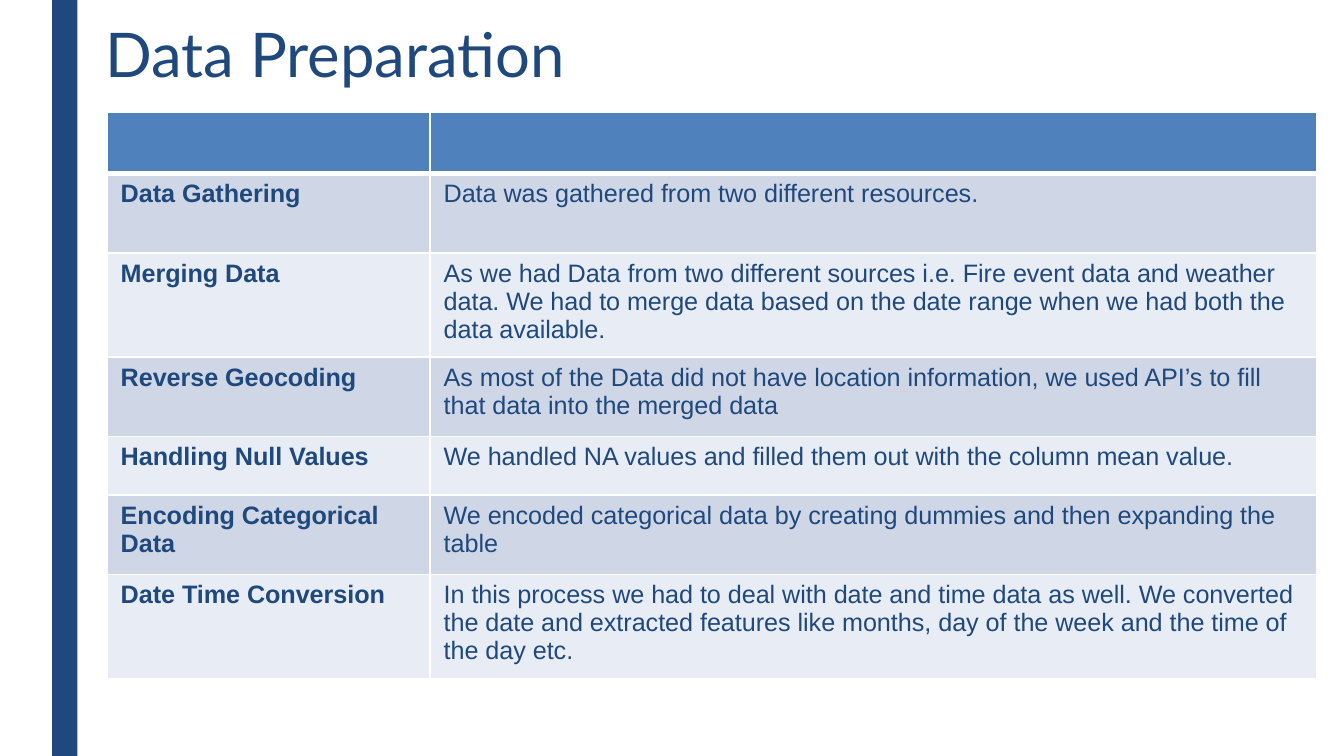
from typing import NamedTuple

from lxml.etree import SubElement
from pptx import Presentation
from pptx.dml.color import RGBColor
from pptx.enum.shapes import MSO_SHAPE as Shape
from pptx.enum.text import MSO_ANCHOR as Anchor
from pptx.oxml.ns import qn
from pptx.util import Emu, Pt

EMU_PER_PX = 6350
COLORS = {
    "navy": "1F497D",
    "header": "4F81BD",
    "odd": "CFD7E7",
    "even": "E8ECF4",
    "border": "FFFFFF",
}


class Box(NamedTuple):
    left: int
    top: int
    width: int
    height: int


class Step(NamedTuple):
    name: str
    description: str
    height: int = 85


SLIDE_WIDTH, SLIDE_HEIGHT = 1440, 810
SIDE_BAR = Box(56, 0, 27, SLIDE_HEIGHT)
TITLE = Box(99, 13, 1135, 176)
TABLE_LEFT, TABLE_TOP = 115, 120
COLUMN_WIDTHS = (346, 950)
STEPS = [
    Step("", "", 66),
    Step("Data Gathering", "Data was gathered from two different resources."),
    Step(
        "Merging Data",
        "As we had Data from two different sources i.e. Fire event data and weather data. "
        "We had to merge data based on the date range when we had both the data available.",
    ),
    Step(
        "Reverse Geocoding",
        "As most of the Data did not have location information, "
        "we used API’s to fill that data into the merged data",
    ),
    Step(
        "Handling Null Values",
        "We handled NA values and filled them out with the column mean value.",
        63,
    ),
    Step(
        "Encoding Categorical Data",
        "We encoded categorical data by creating dummies and then expanding the table",
    ),
    Step(
        "Date Time Conversion",
        "In this process we had to deal with date and time data as well. "
        "We converted the date and extracted features like months, "
        "day of the week and the time of the day etc.",
    ),
]


def px(length: int) -> Emu:
    return Emu(length * EMU_PER_PX)


def place(box: Box) -> list[Emu]:
    return [px(length) for length in box]


def color(name: str) -> RGBColor:
    return RGBColor.from_string(COLORS[name])


def add_run(paragraph, text: str, font: str, size: float, bold: bool = False) -> None:
    run = paragraph.add_run()
    run.text = text
    run.font.name = font
    run.font.size = Pt(size)
    run.font.bold = bold
    run.font.color.rgb = color("navy")


def add_side_bar(slide) -> None:
    shape = slide.shapes.add_shape(Shape.RECTANGLE, *place(SIDE_BAR))
    shape.shadow.inherit = False
    shape.fill.solid()
    shape.fill.fore_color.rgb = color("navy")
    shape.line.fill.background()


def add_title(slide) -> None:
    frame = slide.shapes.add_textbox(*place(TITLE)).text_frame
    frame.word_wrap = True
    frame.vertical_anchor = Anchor.TOP
    frame.margin_left = frame.margin_right = px(14)
    frame.margin_top = frame.margin_bottom = px(14)
    paragraph = frame.paragraphs[0]
    paragraph.line_spacing = 0.89
    add_run(paragraph, "Data Preparation", "Lato", 33)


def set_borders(cell, top: int, bottom: int) -> None:
    properties = cell._tc.get_or_add_tcPr()
    widths = {"lnL": 1, "lnR": 1, "lnT": top, "lnB": bottom}
    for index, (tag, points) in enumerate(widths.items()):
        line = SubElement(properties, qn(f"a:{tag}"), w=str(Pt(points)))
        fill = SubElement(line, qn("a:solidFill"))
        SubElement(fill, qn("a:srgbClr"), val=COLORS["border"])
        properties.insert(index, line)


def add_step_table(slide) -> None:
    height = sum(step.height for step in STEPS)
    box = Box(TABLE_LEFT, TABLE_TOP, sum(COLUMN_WIDTHS), height)
    table = slide.shapes.add_table(len(STEPS), len(COLUMN_WIDTHS), *place(box)).table
    table.horz_banding = False
    for column, width in zip(table.columns, COLUMN_WIDTHS):
        column.width = px(width)
    for index, (row, step) in enumerate(zip(table.rows, STEPS)):
        row.height = px(step.height)
        fill_name = "header" if index == 0 else ("even", "odd")[index % 2]
        for cell, text in zip(row.cells, (step.name, step.description)):
            cell.fill.solid()
            cell.fill.fore_color.rgb = color(fill_name)
            set_borders(cell, 3 if index == 1 else 1, 3 if index == 0 else 1)
            if text:
                paragraph = cell.text_frame.paragraphs[0]
                add_run(paragraph, text, "Arial", 13.5, text == step.name)


def main() -> None:
    presentation = Presentation()
    presentation.slide_width = px(SLIDE_WIDTH)
    presentation.slide_height = px(SLIDE_HEIGHT)
    slide = presentation.slides.add_slide(presentation.slide_layouts[6])
    add_side_bar(slide)
    add_title(slide)
    add_step_table(slide)
    presentation.save("out.pptx")


if __name__ == "__main__":
    main()
